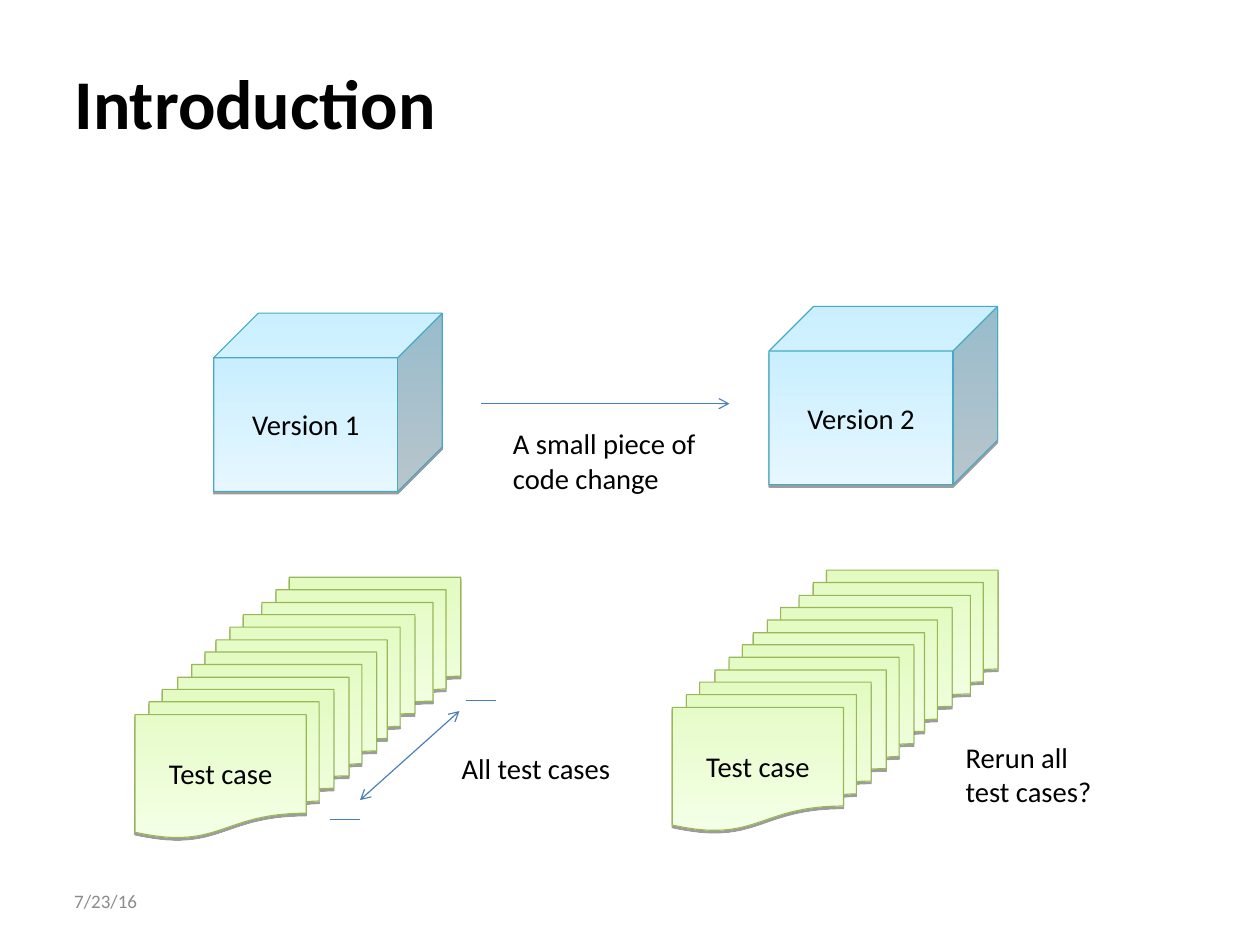
import pptx
import pptx.util
import pptx.dml.color
import pptx.enum.shapes
import pptx.enum.text
import pptx.oxml
import pptx.oxml.ns
from pptx.util import Cm

FONT = "Calibri"
COLORS = {
    "text": "000000",
    "date": "8B8B8B",
    "arrow": "4A7EBB",
    "shadow": "000000",
    "cube top": "BFECFF",
    "cube base": "E6F7FF",
    "cube line": "46AAC4",
    "case top": "E3FBC2",
    "case base": "F4FFE6",
    "case line": "98B855",
}
SHAPE = pptx.enum.shapes.MSO_SHAPE
ALIGN = pptx.enum.text.PP_ALIGN
ANCHOR = pptx.enum.text.MSO_ANCHOR
# Shifts right of the front sheet group, from back to front
SHIFTS = [2.82, 1.8, 0.95, 0]
STEP = 0.83


def color(name):
    return pptx.dml.color.RGBColor.from_string(COLORS[name])


def make(tag, **attrs):
    node = pptx.oxml.parse_xml(f"<a:{tag} {pptx.oxml.ns.nsdecls('a')}/>")
    for key, value in attrs.items():
        node.set(key, str(value))
    return node


def write(frame, text, size=18, tone="text", align=ALIGN.LEFT,
          anchor=ANCHOR.TOP, bold=False):
    frame.text = text
    frame.vertical_anchor = anchor
    for par in frame.paragraphs:
        par.alignment = align
        for run in par.runs:
            run.font.name = FONT
            run.font.size = pptx.util.Pt(size)
            run.font.bold = bold
            run.font.color.rgb = color(tone)


def add_title(slide, text):
    title = slide.shapes.title
    title.left, title.top = Cm(1.4), Cm(0.84)
    title.width, title.height = Cm(25.2), Cm(2.82)
    write(title.text_frame, text, 44, anchor=ANCHOR.MIDDLE, bold=True)


def add_label(slide, text, x, y, w, h, wrap=False, **style):
    box = slide.shapes.add_textbox(Cm(x), Cm(y), Cm(w), Cm(h))
    box.text_frame.word_wrap = wrap
    write(box.text_frame, text, **style)


def add_shadow(shape):
    shape.shadow.inherit = False
    effects = shape._element.spPr.find(pptx.oxml.ns.qn("a:effectLst"))
    outer = make("outerShdw", blurRad=0, dist=pptx.util.Pt(1.6),
                 dir=5400000, rotWithShape=0)
    tint = make("srgbClr", val=COLORS["shadow"])
    tint.append(make("alpha", val=38000))
    outer.append(tint)
    effects.append(outer)


def add_block(slide, kind, look, x, y, w, h, text=""):
    """Add a shape with a vertical gradient, a thin outline and a shadow."""
    block = slide.shapes.add_shape(kind, Cm(x), Cm(y), Cm(w), Cm(h))
    block.fill.gradient()
    block.fill.gradient_angle = 270
    for stop, part in zip(block.fill.gradient_stops, ("top", "base")):
        stop.color.rgb = color(f"{look} {part}")
    block.line.color.rgb = color(f"{look} line")
    block.line.width = pptx.util.Pt(0.75)
    add_shadow(block)
    if text:
        write(block.text_frame, text, align=ALIGN.CENTER,
              anchor=ANCHOR.MIDDLE)


def add_cube(slide, text, x, y):
    add_block(slide, SHAPE.CUBE, "cube", x, y, 5.08, 3.96, text)


def add_stack(slide, x, y):
    """Add the pile of test cases whose front group is at x, y."""
    last = len(SHIFTS) - 1
    for rank, shift in enumerate(SHIFTS):
        text = "Test case" if rank == last else ""
        add_block(slide, SHAPE.FLOWCHART_MULTIDOCUMENT, "case",
                  x + shift, y - STEP * (last - rank), 4.42, 3.3, text)


def add_line(slide, x1, y1, x2, y2, ends=()):
    """Add a line with open arrowheads at the named ends."""
    line = slide.shapes.add_connector(
        pptx.enum.shapes.MSO_CONNECTOR.STRAIGHT,
        Cm(x1), Cm(y1), Cm(x2), Cm(y2))
    line.line.color.rgb = color("arrow")
    line.line.width = pptx.util.Pt(0.75)
    props = line._element.spPr
    for end in ends:
        props.find(pptx.oxml.ns.qn("a:ln")).append(make(end, type="arrow"))
    props.append(make("effectLst"))


def main():
    deck = pptx.Presentation()
    deck.slide_width, deck.slide_height = Cm(28), Cm(21)
    slide = deck.slides.add_slide(deck.slide_layouts[5])
    add_title(slide, "Introduction")

    add_cube(slide, "Version 1", 4.75, 6.96)
    add_cube(slide, "Version 2", 17.09, 6.81)
    add_line(slide, 10.69, 8.97, 16.21, 8.97, ["tailEnd"])
    add_label(slide, "A small piece of\ncode change", 11.15, 9.35, 4.7, 1.78)

    add_stack(slide, 3, 15.32)
    add_line(slide, 10.36, 15.57, 11.02, 15.57)
    add_line(slide, 7.34, 18.21, 8, 18.21)
    add_line(slide, 8, 17.78, 10.21, 15.8, ["headEnd", "tailEnd"])
    add_label(slide, "All test cases", 10.01, 16.56, 3.81, 1.02)

    add_stack(slide, 14.94, 15.16)
    add_label(slide, "Rerun all\ntest cases?", 21.21, 16.31, 4.42, 1.78,
              wrap=True)
    add_label(slide, "7/23/16", 1.4, 19.46, 6.53, 1.12, wrap=True,
              size=12, tone="date", anchor=ANCHOR.MIDDLE)
    deck.save("out.pptx")


if __name__ == "__main__":
    main()
